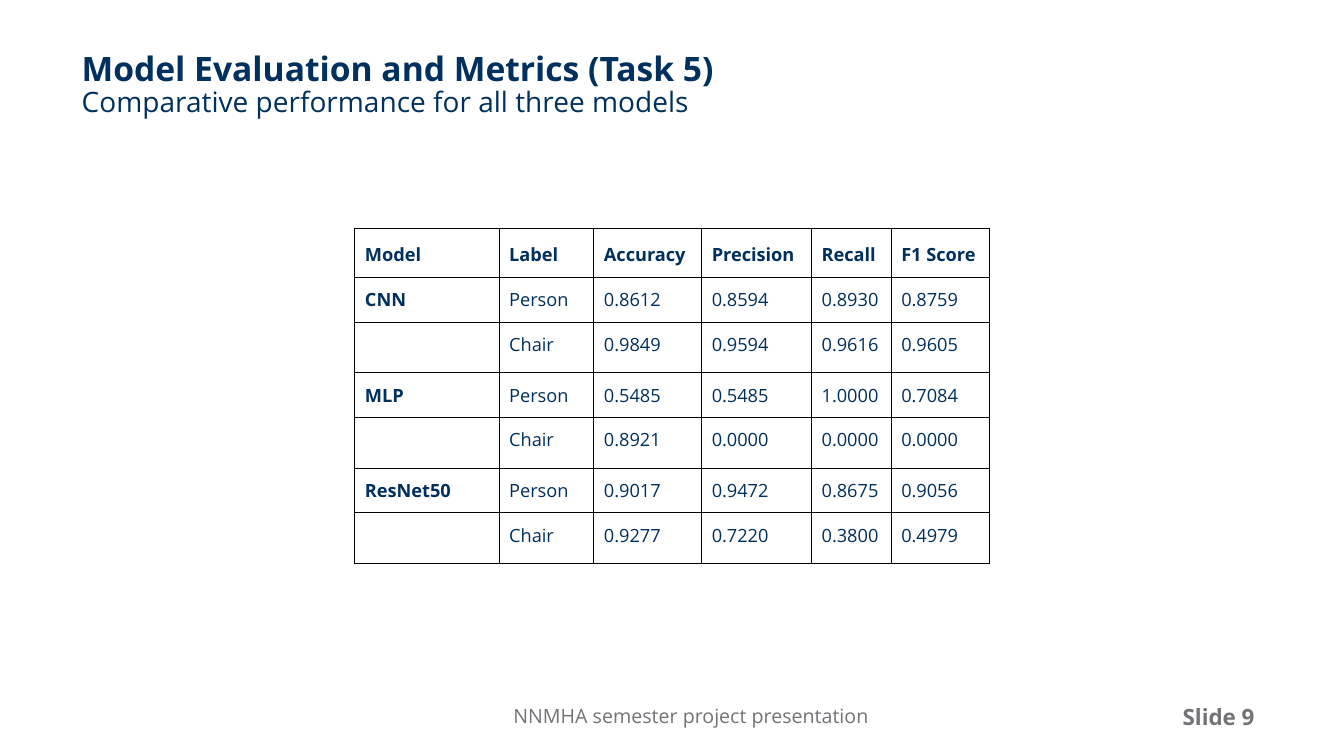
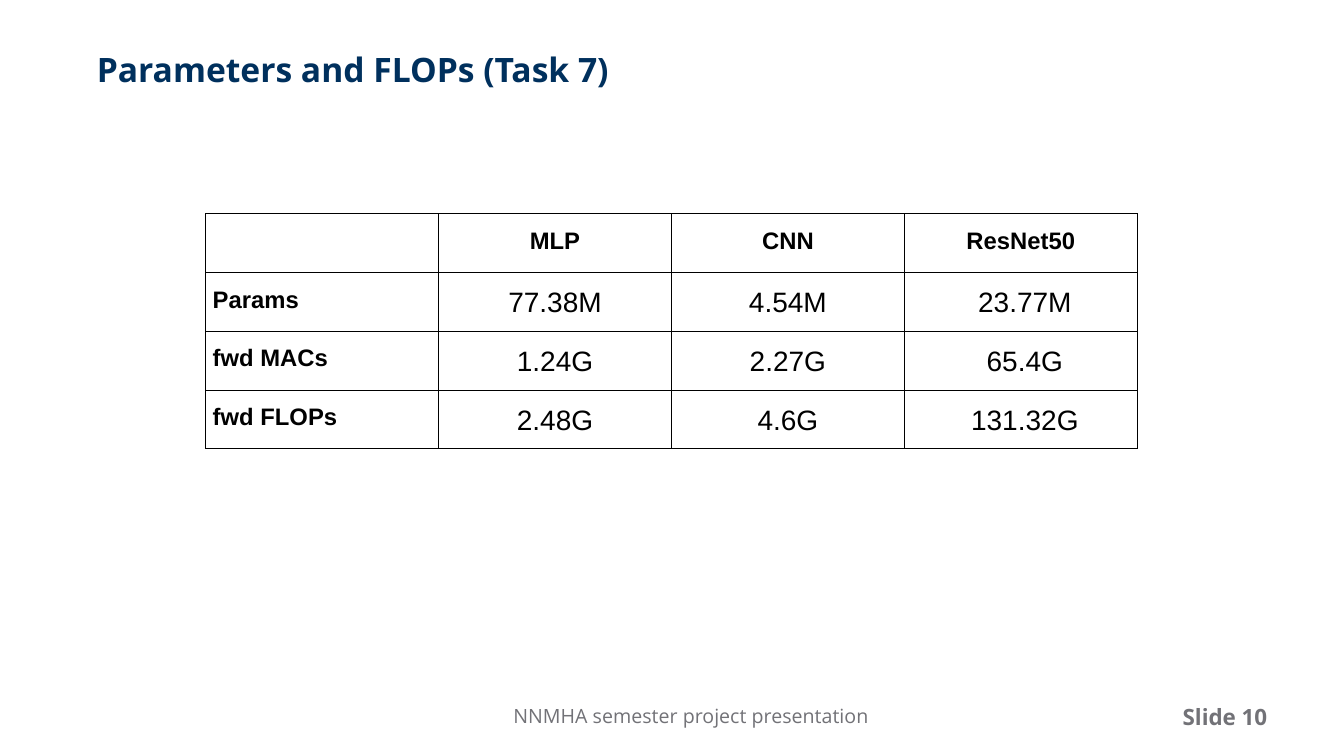
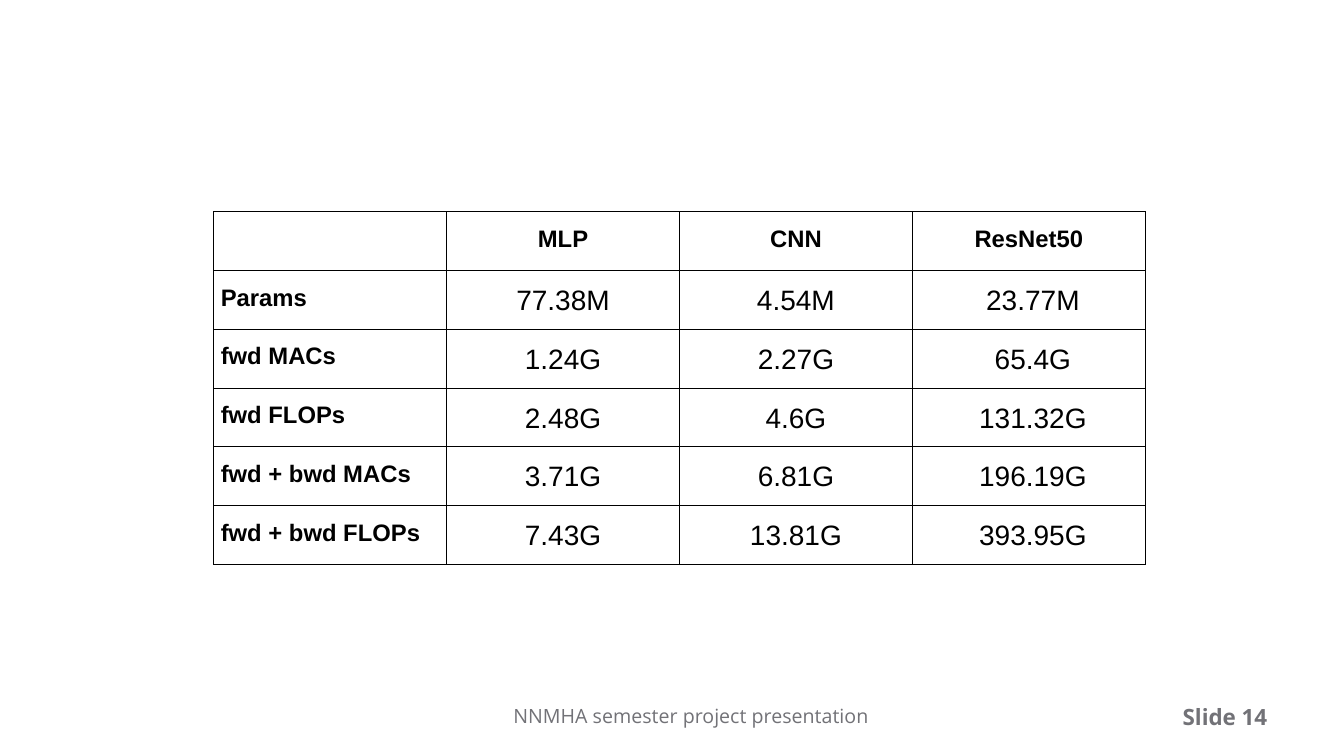
from pptx import Presentation
from pptx.dml.color import RGBColor
from pptx.enum.text import MSO_ANCHOR as Anchor, MSO_AUTO_SIZE as AutoSize, PP_ALIGN as Align
from pptx.oxml import parse_xml
from pptx.oxml.ns import nsdecls
from pptx.util import Inches, Pt

NAVY = RGBColor(0x00, 0x30, 0x5D)
GREY = RGBColor(0x72, 0x72, 0x77)
BLACK = RGBColor(0, 0, 0)
SANS, ARIAL = "Open Sans", "Arial"
FOOTER = "NNMHA semester project presentation"

METRICS = [
    ("Model", "Label", "Accuracy", "Precision", "Recall", "F1 Score"),
    ("CNN", "Person", "0.8612", "0.8594", "0.8930", "0.8759"),
    ("", "Chair", "0.9849", "0.9594", "0.9616", "0.9605"),
    ("MLP", "Person", "0.5485", "0.5485", "1.0000", "0.7084"),
    ("", "Chair", "0.8921", "0.0000", "0.0000", "0.0000"),
    ("ResNet50", "Person", "0.9017", "0.9472", "0.8675", "0.9056"),
    ("", "Chair", "0.9277", "0.7220", "0.3800", "0.4979"),
]
FORWARD_COSTS = [
    ("", "MLP", "CNN", "ResNet50"),
    ("Params", "77.38M", "4.54M", "23.77M"),
    ("fwd MACs", "1.24G", "2.27G", "65.4G"),
    ("fwd FLOPs", "2.48G", "4.6G", "131.32G"),
]
ALL_COSTS = FORWARD_COSTS + [
    ("fwd + bwd MACs", "3.71G", "6.81G", "196.19G"),
    ("fwd + bwd FLOPs", "7.43G", "13.81G", "393.95G"),
]
METRIC_COLS = [1.43, 0.94, 1.07, 1.09, 0.79, 0.97]
METRIC_ROWS = [0.45] + [0.42, 0.5] * 3
COST_COL, COST_ROW = 2.31, 3.5 / 6

SLIDES = [
    dict(number=9, title=[("Model Evaluation and Metrics (Task 5)", 24, True),
                          ("Comparative performance for all three models", 20, False)],
         title_at=(0.81, 0.52, 10.99, 0.99), kind="metrics", rows=METRICS, at=(3.52, 2.27)),
    dict(number=10, title=[("Parameters and FLOPs (Task 7)", 24, True)],
         title_at=(0.96, 0.53, 11.57, 0.75), kind="costs", rows=FORWARD_COSTS, at=(2.04, 2.12)),
    dict(number=14, title=None, kind="costs", rows=ALL_COSTS, at=(2.12, 2.1)),
]


def style(paragraph, size, color, bold=False, face=SANS, align=Align.LEFT, spacing=None):
    paragraph.alignment = align
    if spacing:
        paragraph.line_spacing = spacing
    font = paragraph.font
    font.name, font.size, font.bold = face, Pt(size), bold
    font.color.rgb = color


def clear_frame(frame, anchor):
    frame.word_wrap = True
    frame.auto_size = AutoSize.NONE
    frame.vertical_anchor = anchor
    frame.margin_left = frame.margin_right = frame.margin_top = frame.margin_bottom = 0


def add_footer(slide, number):
    for text, at, size, bold, align in (
            (FOOTER, (2.71, 6.99, 8.29, 0.23), 14, False, Align.CENTER),
            (f"Slide {number}", (11.73, 6.67, 1.32, 0.57), 16, True, Align.LEFT)):
        frame = slide.shapes.add_textbox(*map(Inches, at)).text_frame
        clear_frame(frame, Anchor.BOTTOM)
        frame.text = text
        style(frame.paragraphs[0], size, GREY, bold, align=align)


def set_title(slide, lines, at):
    title = slide.shapes.title
    title.left, title.top, title.width, title.height = map(Inches, at)
    frame = title.text_frame
    clear_frame(frame, Anchor.TOP)
    frame.text = "\n".join(text for text, _, _ in lines)
    for paragraph, (_, size, bold) in zip(frame.paragraphs, lines):
        style(paragraph, size, NAVY, bold, spacing=0.9)


def outline(cell):
    properties = cell._tc.get_or_add_tcPr()
    for side in "LRTB":
        properties.append(parse_xml(
            f'<a:ln{side} {nsdecls("a")} w="9525"><a:solidFill>'
            f'<a:srgbClr val="{BLACK}"/></a:solidFill></a:ln{side}>'))
    cell.fill.background()


def style_metric(cell, row, col):
    cell.margin_left = cell.margin_right = Inches(0.1)
    style(cell.text_frame.paragraphs[0], 13, NAVY, row == 0 or col == 0,
          spacing=None if row else 1.15)


def style_cost(cell, row, col):
    label = row == 0 or col == 0
    cell.margin_left = Inches(0.15 if row and col == 3 else 0.07)
    cell.margin_right = Inches(0.07)
    style(cell.text_frame.paragraphs[0], 17 if label else 20, BLACK, label, ARIAL,
          Align.CENTER if col else Align.LEFT, 1.15)


def add_grid(slide, kind, rows, at):
    if kind == "metrics":
        widths, heights, style_cell = METRIC_COLS, METRIC_ROWS, style_metric
    else:
        widths, heights = [COST_COL] * len(rows[0]), [COST_ROW] * len(rows)
        style_cell = style_cost
    size = sum(widths), sum(heights)
    table = slide.shapes.add_table(len(rows), len(widths), *map(Inches, at + size)).table
    table.first_row = table.horz_banding = False
    for column, width in zip(table.columns, widths):
        column.width = Inches(width)
    for r, (values, height) in enumerate(zip(rows, heights)):
        table.rows[r].height = Inches(height)
        for c, value in enumerate(values):
            cell = table.cell(r, c)
            cell.text = value
            cell.margin_top = cell.margin_bottom = Inches(0.1)
            style_cell(cell, r, c)
            outline(cell)


def main():
    deck = Presentation()
    deck.slide_width, deck.slide_height = Inches(13.33), Inches(7.5)
    title_only, blank = deck.slide_layouts[5], deck.slide_layouts[6]
    for page in SLIDES:
        slide = deck.slides.add_slide(title_only if page["title"] else blank)
        add_footer(slide, page["number"])
        if page["title"]:
            set_title(slide, page["title"], page["title_at"])
        add_grid(slide, page["kind"], page["rows"], page["at"])
    deck.save("out.pptx")


if __name__ == "__main__":
    main()
